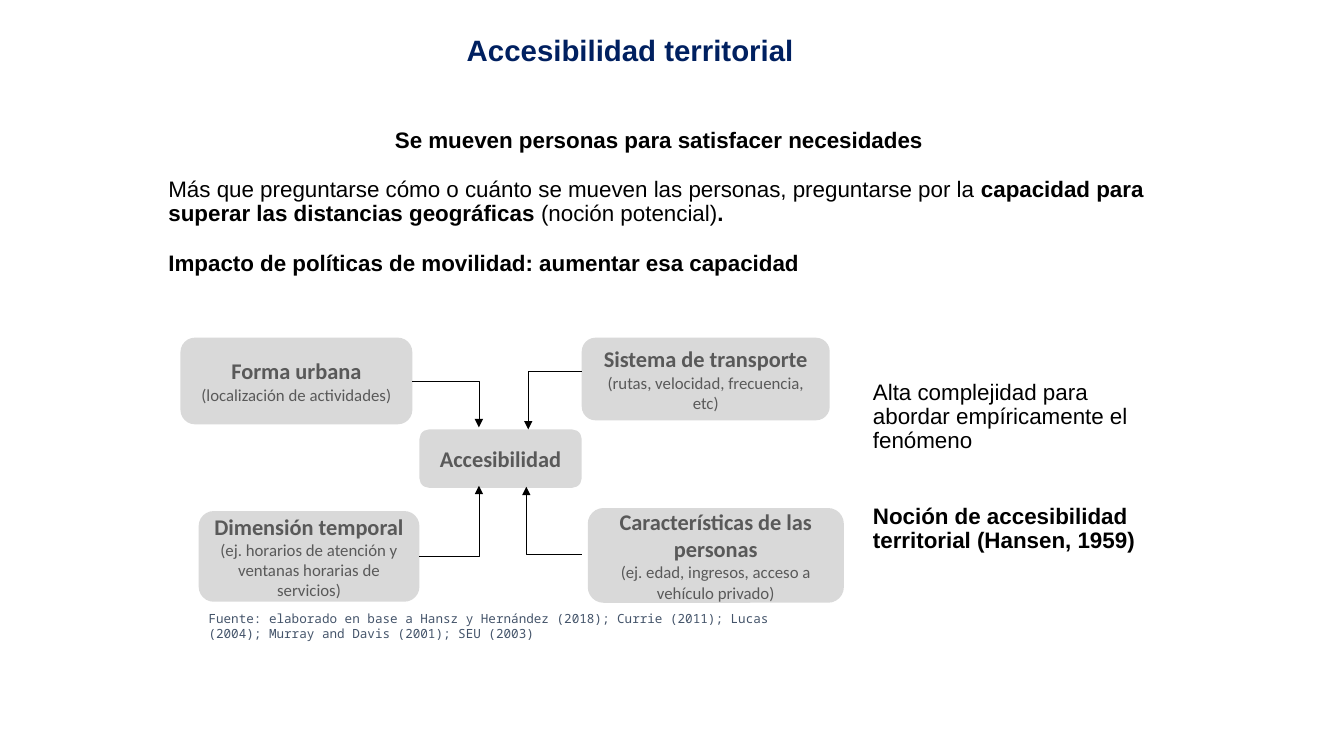
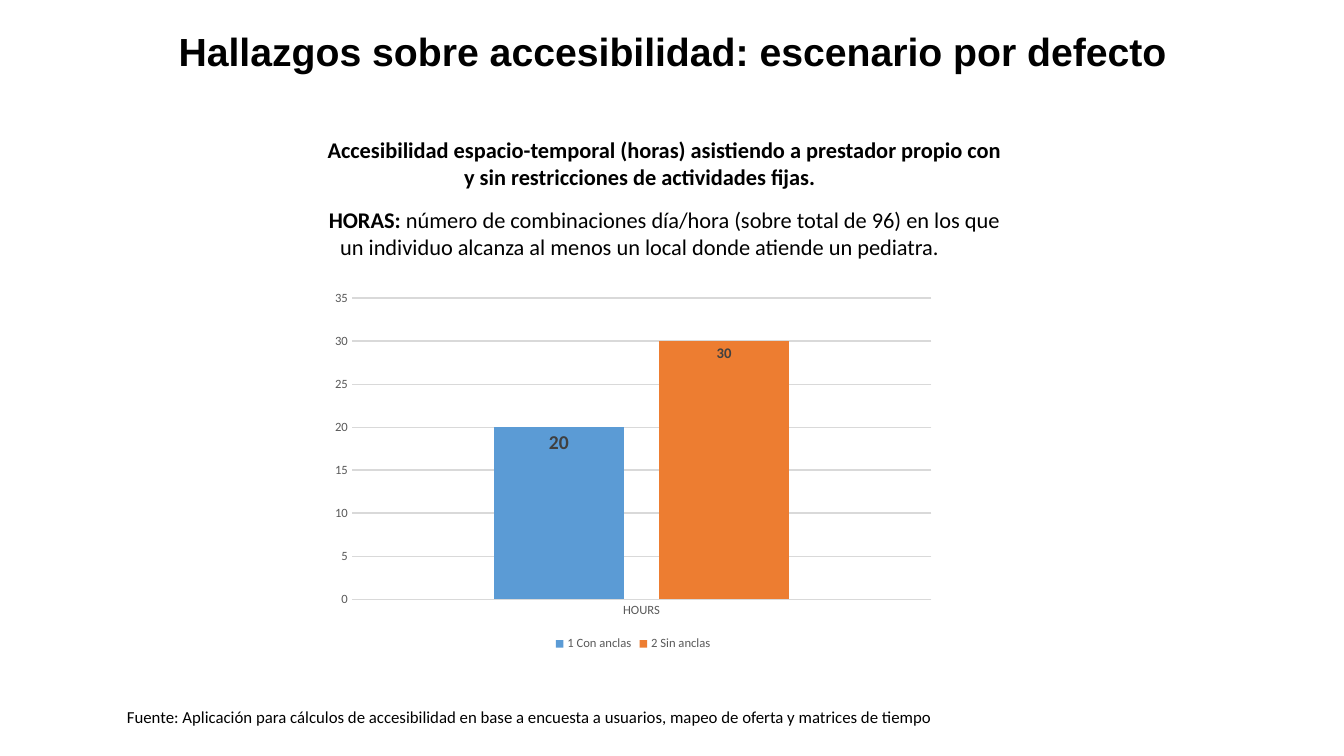
from dataclasses import dataclass
from typing import NamedTuple

from lxml import etree
from pptx import Presentation
from pptx.chart.data import CategoryChartData
from pptx.dml.color import RGBColor
from pptx.enum.chart import XL_CHART_TYPE, XL_LABEL_POSITION, XL_LEGEND_POSITION, XL_TICK_MARK
from pptx.enum.shapes import MSO_CONNECTOR, MSO_SHAPE
from pptx.enum.text import MSO_ANCHOR, MSO_AUTO_SIZE, PP_ALIGN
from pptx.oxml.ns import qn
from pptx.util import Emu, Pt

EMU_PER_PX = 9144  # 100 px to the inch
PAGE_WIDTH, PAGE_HEIGHT = 1333, 750
COLORS = {
    "navy": "002060", "black": "000000", "box": "D9D9D9", "box_text": "595959",
    "source": "44546A", "grid": "D9D9D9", "axis_text": "595959",
    "label": "404040", "blue": "5B9BD5", "orange": "ED7D31",
}
SANS, BODY, MONO = "Arial", "Calibri", "Noto Sans Mono"
LEFT, CENTER = PP_ALIGN.LEFT, PP_ALIGN.CENTER
TOP, MIDDLE = MSO_ANCHOR.TOP, MSO_ANCHOR.MIDDLE
FIXED, GROW = MSO_AUTO_SIZE.NONE, MSO_AUTO_SIZE.SHAPE_TO_FIT_TEXT
ROUNDED = MSO_SHAPE.ROUNDED_RECTANGLE
ELBOW = MSO_CONNECTOR.ELBOW
NO_TICK = XL_TICK_MARK.NONE
TITLE_AND_BODY, TITLE_ONLY = 1, 5


class Frame(NamedTuple):
    left: int
    top: int
    width: int
    height: int


class Span(NamedTuple):
    text: str
    bold: bool = False


@dataclass(frozen=True)
class Para:
    spans: tuple[Span, ...]
    size: float = 16
    font: str = SANS
    color: str = "black"
    align: PP_ALIGN = LEFT
    line: float = 1.0
    before: float = 0
    after: float = 0
    indent: int = 0


@dataclass(frozen=True)
class FactorBox:
    frame: Frame
    name: str
    detail: str = ""


class Arrow(NamedTuple):
    start: tuple[int, int]
    end: tuple[int, int]


class Bar(NamedTuple):
    name: str
    value: int
    color: str
    label_size: float


FACTORS = (
    FactorBox(Frame(179, 335, 230, 86), "Forma urbana", "(localización de actividades)"),
    FactorBox(Frame(577, 335, 246, 82), "Sistema de transporte",
              "(rutas, velocidad, frecuencia, etc)"),
    FactorBox(Frame(416, 426, 161, 58), "Accesibilidad"),
    FactorBox(Frame(197, 507, 219, 90), "Dimensión temporal",
              "(ej. horarios de atención y ventanas horarias de servicios)"),
    FactorBox(Frame(583, 504, 254, 94), "Características de las personas",
              "(ej. edad, ingresos, acceso a vehículo privado)"),
)
ARROWS = (
    Arrow((409, 378), (475, 424)),
    Arrow((577, 368), (524, 426)),
    Arrow((416, 552), (475, 482)),
    Arrow((577, 550), (522, 483)),
)
BARS = (
    Bar("1 Con anclas", 20, "blue", 14),
    Bar("2 Sin anclas", 30, "orange", 10.5),
)


def px(length: int) -> Emu:
    return Emu(length * EMU_PER_PX)


def rgb(name: str) -> RGBColor:
    return RGBColor.from_string(COLORS[name])


def style_font(font, *, size: float, name: str, color: str, bold: bool = False) -> None:
    font.size = Pt(size)
    font.name = name
    font.bold = bold
    font.color.rgb = rgb(color)


def add_span(para, text: str, **style) -> None:
    span = para.add_run()
    span.text = text
    style_font(span.font, **style)


def write_paras(shape, paras: tuple[Para, ...], anchor=TOP, auto_size=FIXED) -> None:
    frame = shape.text_frame
    frame.word_wrap = True
    frame.auto_size = auto_size
    frame.vertical_anchor = anchor
    for index, item in enumerate(paras):
        para = frame.add_paragraph() if index else frame.paragraphs[0]
        para.alignment = item.align
        para.line_spacing = item.line
        para.space_before = Pt(item.before)
        para.space_after = Pt(item.after)
        properties = para._p.get_or_add_pPr()
        properties.set("marL", "0")
        properties.set("indent", str(px(item.indent)))
        etree.SubElement(properties, qn("a:buNone"))
        for span in item.spans:
            add_span(para, span.text, size=item.size, name=item.font,
                     color=item.color, bold=span.bold)


def place(shape, frame: Frame) -> None:
    shape.left, shape.top, shape.width, shape.height = map(px, frame)


def add_text(page, frame: Frame, *paras: Para, auto_size=FIXED) -> None:
    box = page.shapes.add_textbox(*map(px, frame))
    write_paras(box, paras, auto_size=auto_size)


def add_page(deck, layout: int, title: str, frame: Frame, size: float, color: str):
    page = deck.slides.add_slide(deck.slide_layouts[layout])
    place(page.shapes.title, frame)
    heading = Para((Span(title, True),), size=size, color=color, align=CENTER, line=0.9)
    write_paras(page.shapes.title, (heading,), anchor=MIDDLE)
    return page


def add_factor(page, factor: FactorBox) -> None:
    box = page.shapes.add_shape(ROUNDED, *map(px, factor.frame))
    box.shadow.inherit = False
    box.fill.solid()
    box.fill.fore_color.rgb = rgb("box")
    box.line.fill.background()
    lines = [Para((Span(factor.name, True),), font=BODY, color="box_text", align=CENTER)]
    if factor.detail:
        lines.append(Para((Span(factor.detail),), size=12, font=BODY,
                          color="box_text", align=CENTER))
    write_paras(box, tuple(lines), anchor=MIDDLE)


def add_arrow(page, arrow: Arrow) -> None:
    """Draw one bend: across from the start, then up or down to the end."""
    connector = page.shapes.add_connector(ELBOW, *map(px, arrow.start + arrow.end))
    connector.line.width = Pt(0.5)
    connector.line.color.rgb = rgb("black")
    properties = connector.element.spPr
    properties.find(qn("a:prstGeom")).set("prst", "bentConnector2")
    etree.SubElement(properties.find(qn("a:ln")), qn("a:tailEnd"), type="triangle")
    etree.SubElement(properties, qn("a:effectLst"))


def add_hours_chart(page, frame: Frame) -> None:
    data = CategoryChartData(number_format="###0")
    data.categories = ["HOURS"]
    for bar in BARS:
        data.add_series(bar.name, [bar.value])
    chart = page.shapes.add_chart(XL_CHART_TYPE.COLUMN_CLUSTERED, *map(px, frame), data).chart
    chart.has_title = False
    style_font(chart.font, size=10, name=BODY, color="black")
    chart.has_legend = True
    chart.legend.position = XL_LEGEND_POSITION.BOTTOM
    chart.legend.include_in_layout = False
    style_font(chart.legend.font, size=9, name=BODY, color="axis_text")

    for axis in (chart.category_axis, chart.value_axis):
        axis.major_tick_mark = axis.minor_tick_mark = NO_TICK
        style_font(axis.tick_labels.font, size=9, name=BODY, color="axis_text")
    values = chart.value_axis
    values.minimum_scale, values.maximum_scale, values.major_unit = 0, 35, 5
    values.tick_labels.number_format = "###0"
    values.tick_labels.number_format_is_linked = False
    values.format.line.fill.background()
    for line in (chart.category_axis.format.line, values.major_gridlines.format.line):
        line.width = Pt(0.75)
        line.color.rgb = rgb("grid")

    plot = chart.plots[0]
    plot.vary_by_categories = False
    plot.gap_width, plot.overlap = 219, -27
    for series, bar in zip(plot.series, BARS):
        series.format.fill.solid()
        series.format.fill.fore_color.rgb = rgb(bar.color)
        labels = series.data_labels
        labels.show_value = True
        labels.position = XL_LABEL_POSITION.INSIDE_END
        labels.number_format = "###0"
        labels.number_format_is_linked = False
        style_font(labels.font, size=bar.label_size, name=BODY, color="label", bold=True)


def build_concept_page(deck) -> None:
    page = add_page(deck, TITLE_AND_BODY, "Accesibilidad territorial",
                    Frame(269, 29, 712, 45), 21, "navy")
    body = page.placeholders[1]
    place(body, Frame(157, 123, 993, 144))
    spacing = {"line": 0.9, "before": 9, "after": 9}
    write_paras(body, (
        Para((Span("Se mueven personas para satisfacer necesidades", True),),
             align=CENTER, **spacing),
        Para((Span("Más que preguntarse cómo o cuánto se mueven las personas, "
                   "preguntarse por la "),
              Span("capacidad para superar las distancias geográficas ", True),
              Span("(noción potencial)"), Span(".", True)), **spacing),
        Para((Span("Impacto de políticas de movilidad: aumentar esa capacidad", True),),
             **spacing),
    ))
    for factor in FACTORS:
        add_factor(page, factor)
    for arrow in ARROWS:
        add_arrow(page, arrow)
    add_text(page, Frame(197, 601, 593, 40),
             Para((Span("Fuente: elaborado en base a Hansz y Hernández (2018); Currie (2011); "
                        "Lucas (2004); Murray and Davis (2001); SEU (2003)"),),
                  size=9, font=MONO, color="source"), auto_size=GROW)
    add_text(page, Frame(856, 373, 294, 180),
             Para((Span("Alta complejidad para abordar empíricamente el fenómeno"),),
                  line=0.9, before=10),
             Para((Span("Noción de accesibilidad territorial (Hansen, 1959)", True),),
                  line=0.9, before=37))


def build_findings_page(deck) -> None:
    page = add_page(deck, TITLE_ONLY, "Hallazgos sobre accesibilidad: escenario por defecto",
                    Frame(92, 20, 1150, 67), 28, "black")
    style = {"font": BODY, "align": CENTER, "before": 6, "after": 6, "indent": 49}
    add_text(page, Frame(262, 130, 745, 135),
             Para((Span("Accesibilidad espacio-temporal (horas) asistiendo a prestador propio "
                        "con y sin restricciones de actividades fijas.", True),), **style),
             Para((Span("HORAS: ", True),
                   Span("número de combinaciones día/hora (sobre total de 96) en los que un "
                        "individuo alcanza al menos un local donde atiende un pediatra.")),
                  **style), auto_size=GROW)
    add_hours_chart(page, Frame(320, 281, 616, 369))
    add_text(page, Frame(116, 696, 955, 30),
             Para((Span("Fuente: Aplicación para cálculos de accesibilidad en base a encuesta a "
                        "usuarios, mapeo de oferta y matrices de tiempo"),),
                  size=12, font=BODY), auto_size=GROW)


def main() -> None:
    deck = Presentation()
    deck.slide_width, deck.slide_height = px(PAGE_WIDTH), px(PAGE_HEIGHT)
    build_concept_page(deck)
    build_findings_page(deck)
    deck.save("out.pptx")


if __name__ == "__main__":
    main()
